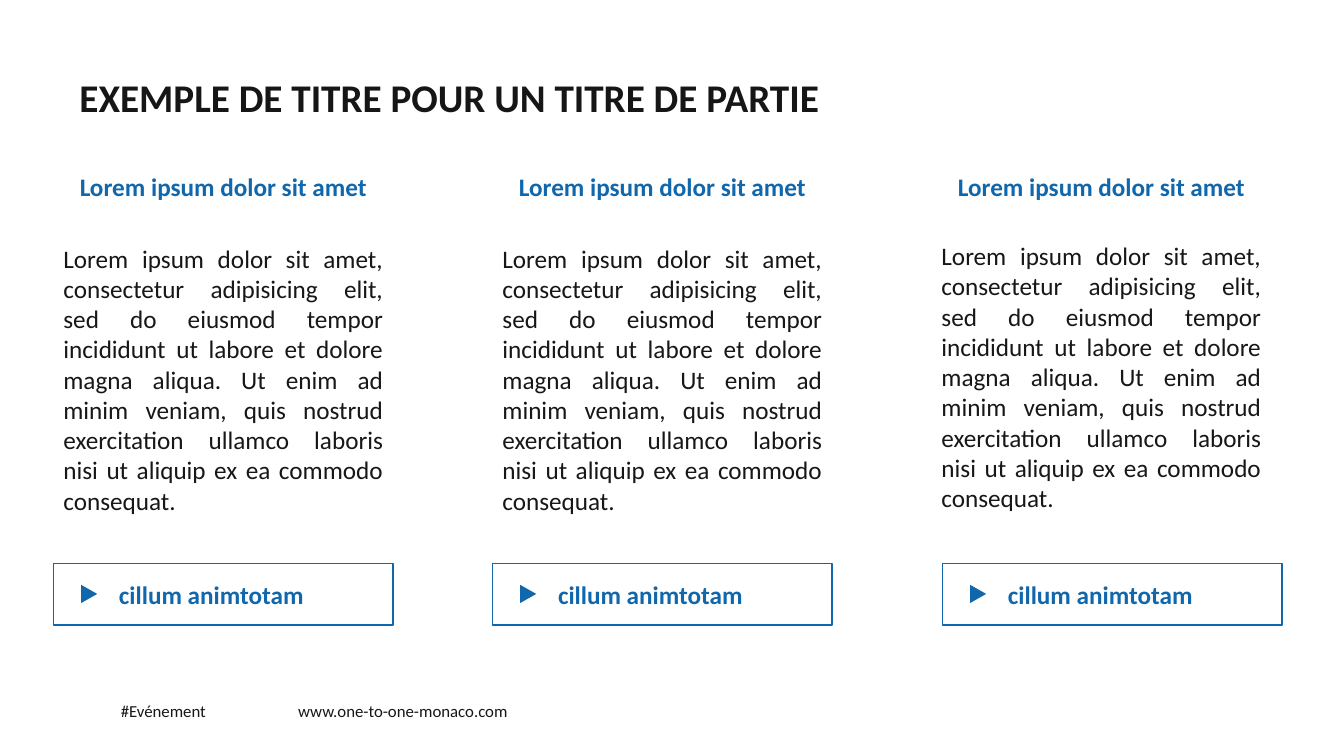
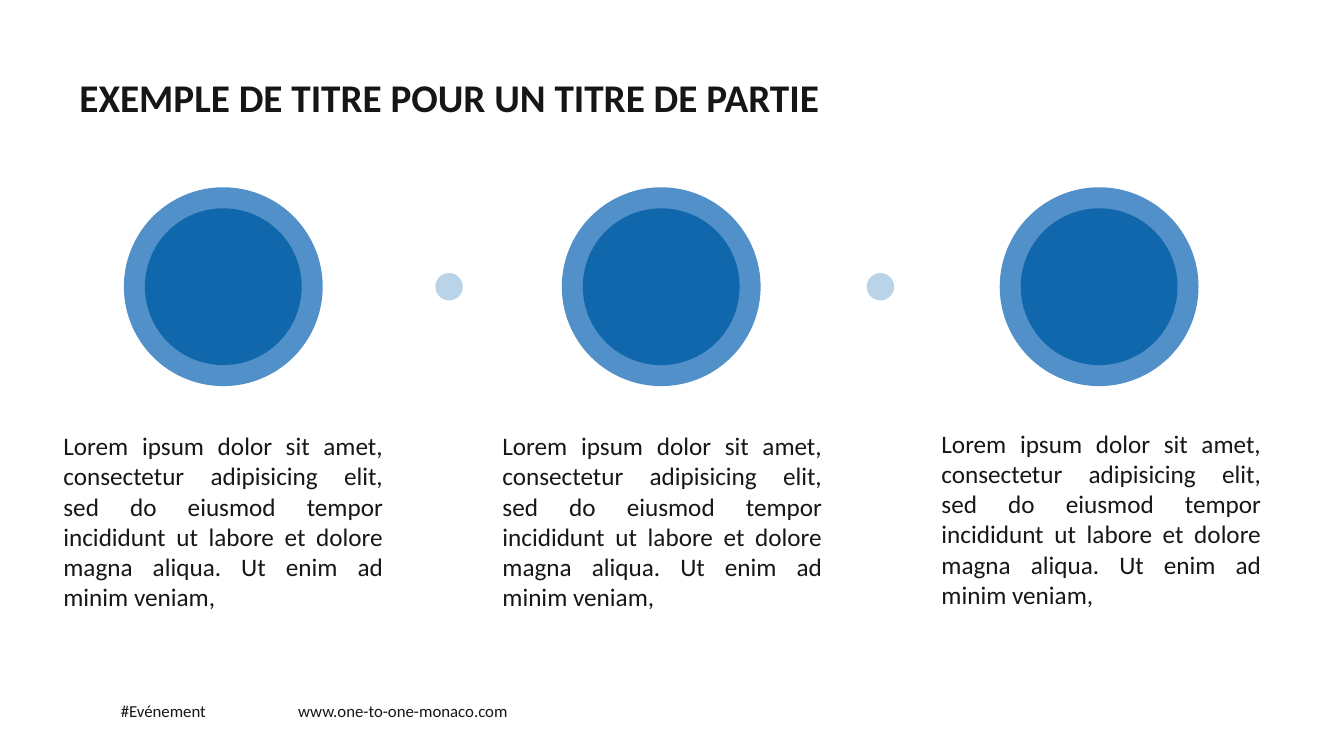
from pptx import Presentation
from pptx.dml.color import RGBColor
from pptx.enum.shapes import MSO_SHAPE
from pptx.enum.text import MSO_ANCHOR, PP_ALIGN
from pptx.util import Pt

RECTANGLE = MSO_SHAPE.RECTANGLE
OVAL = MSO_SHAPE.OVAL
TRIANGLE = MSO_SHAPE.ISOSCELES_TRIANGLE
LEFT = PP_ALIGN.LEFT
CENTER = PP_ALIGN.CENTER
JUSTIFY = PP_ALIGN.JUSTIFY
MIDDLE = MSO_ANCHOR.MIDDLE

FONT = "Calibri"
INK = RGBColor(0x18, 0x16, 0x16)
TITLE_INK = RGBColor(0x17, 0x16, 0x16)
BLUE = RGBColor(0x11, 0x67, 0xAC)
RING_BLUE = RGBColor(0x51, 0x90, 0xC8)
PALE_BLUE = RGBColor(0xB9, 0xD3, 0xE9)

COLUMN_WIDTH = 242.6
COLUMN_LEFTS = [38.2 + 313.6 * index for index in range(3)]
BODY_SHIFTS = (0, 0, -1.8)
BUTTON_SHIFTS = (0, 0, 7.8)
BUTTON_TOP = 402.5
BUTTON_HEIGHT = 44
CIRCLE_CENTERS = [159.5 + 312.8 * index for index in range(3)]
DOT_CENTERS = (320.8, 628.9)
CIRCLE_MIDDLE = 204.8

TITLE = "EXEMPLE DE TITRE POUR UN TITRE DE PARTIE"
HEADING = "Lorem ipsum dolor sit amet"
BUTTON_LABEL = "cillum animtotam"
SHORT_BODY = (
    "Lorem ipsum dolor sit amet, consectetur adipisicing elit, sed do eiusmod "
    "tempor incididunt ut labore et dolore magna aliqua. Ut enim ad minim veniam,"
)
LONG_BODY = SHORT_BODY + (
    " quis nostrud exercitation ullamco laboris nisi ut aliquip ex ea commodo "
    "consequat."
)
FOOTERS = (
    ("#Evénement", 79.2, 100),
    ("www.one-to-one-monaco.com", 205.9, 423.4),
)


def write(shape, text, size, color, align, bold=False):
    frame = shape.text_frame
    frame.word_wrap = True
    paragraph = frame.paragraphs[0]
    paragraph.alignment = align
    run = paragraph.add_run()
    run.text = text
    run.font.name = FONT
    run.font.size = Pt(size)
    run.font.bold = bold
    run.font.color.rgb = color


def add_text(slide, text, left, top, width, height, size, color, align, bold=False):
    box = slide.shapes.add_textbox(Pt(left), Pt(top), Pt(width), Pt(height))
    write(box, text, size, color, align, bold)


def add_filled(slide, kind, left, top, width, height, color):
    shape = slide.shapes.add_shape(kind, Pt(left), Pt(top), Pt(width), Pt(height))
    shape.shadow.inherit = False
    shape.fill.solid()
    shape.fill.fore_color.rgb = color
    shape.line.fill.background()
    return shape


def add_disc(slide, center, diameter, color):
    radius = diameter / 2
    add_filled(slide, OVAL, center - radius, CIRCLE_MIDDLE - radius,
               diameter, diameter, color)


def add_button(slide, left):
    button = slide.shapes.add_shape(
        RECTANGLE, Pt(left), Pt(BUTTON_TOP), Pt(COLUMN_WIDTH), Pt(BUTTON_HEIGHT))
    button.shadow.inherit = False
    button.fill.background()
    button.line.color.rgb = BLUE
    button.line.width = Pt(1)
    button.text_frame.margin_left = Pt(46.8)
    button.text_frame.vertical_anchor = MIDDLE
    write(button, BUTTON_LABEL, 18, BLUE, LEFT, bold=True)
    marker = add_filled(slide, TRIANGLE, left + 19, BUTTON_TOP + 16, 13, 11.5, BLUE)
    marker.rotation = 90


def add_bodies(slide, text, top, height):
    for left, shift in zip(COLUMN_LEFTS, BODY_SHIFTS):
        add_text(slide, text, left, top + shift, COLUMN_WIDTH, height,
                 18, INK, JUSTIFY)


def add_base_slide(presentation):
    slide = presentation.slides.add_slide(presentation.slide_layouts[6])
    for text, left, width in FOOTERS:
        add_text(slide, text, left, 496.8, width, 21.8, 12, INK, LEFT)
    add_text(slide, TITLE, 49.7, 49, 858, 41, 28, TITLE_INK, LEFT, bold=True)
    return slide


def build_button_slide(presentation):
    slide = add_base_slide(presentation)
    add_bodies(slide, LONG_BODY, 170, 204)
    for left, shift in zip(COLUMN_LEFTS, BUTTON_SHIFTS):
        add_text(slide, HEADING, left, 119, COLUMN_WIDTH, 29,
                 18, BLUE, CENTER, bold=True)
        add_button(slide, left + shift)


def build_circle_slide(presentation):
    slide = add_base_slide(presentation)
    add_bodies(slide, SHORT_BODY, 304, 138)
    for center in CIRCLE_CENTERS:
        add_disc(slide, center, 142, RING_BLUE)
        add_disc(slide, center, 112, BLUE)
    for center in DOT_CENTERS:
        add_disc(slide, center, 19.6, PALE_BLUE)


def main():
    presentation = Presentation()
    presentation.slide_width = Pt(960)
    presentation.slide_height = Pt(540)
    build_button_slide(presentation)
    build_circle_slide(presentation)
    presentation.save("out.pptx")


if __name__ == "__main__":
    main()
